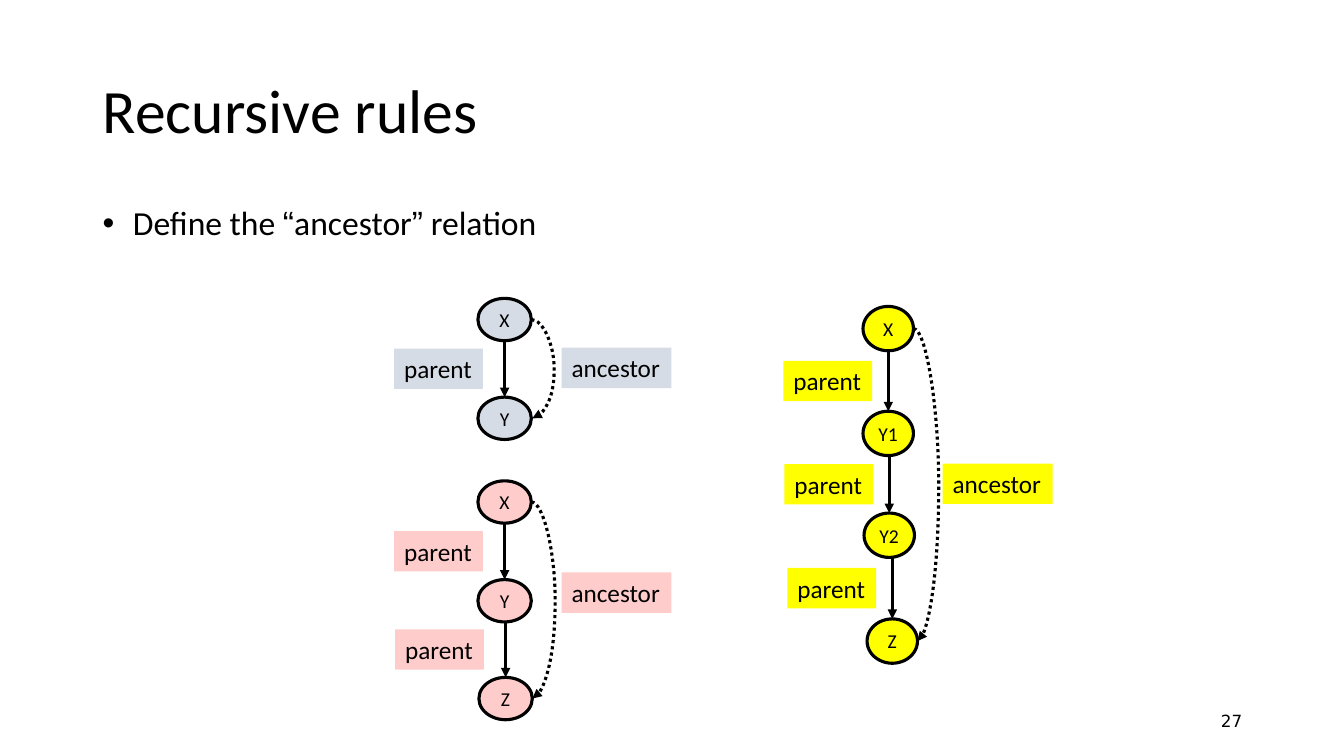
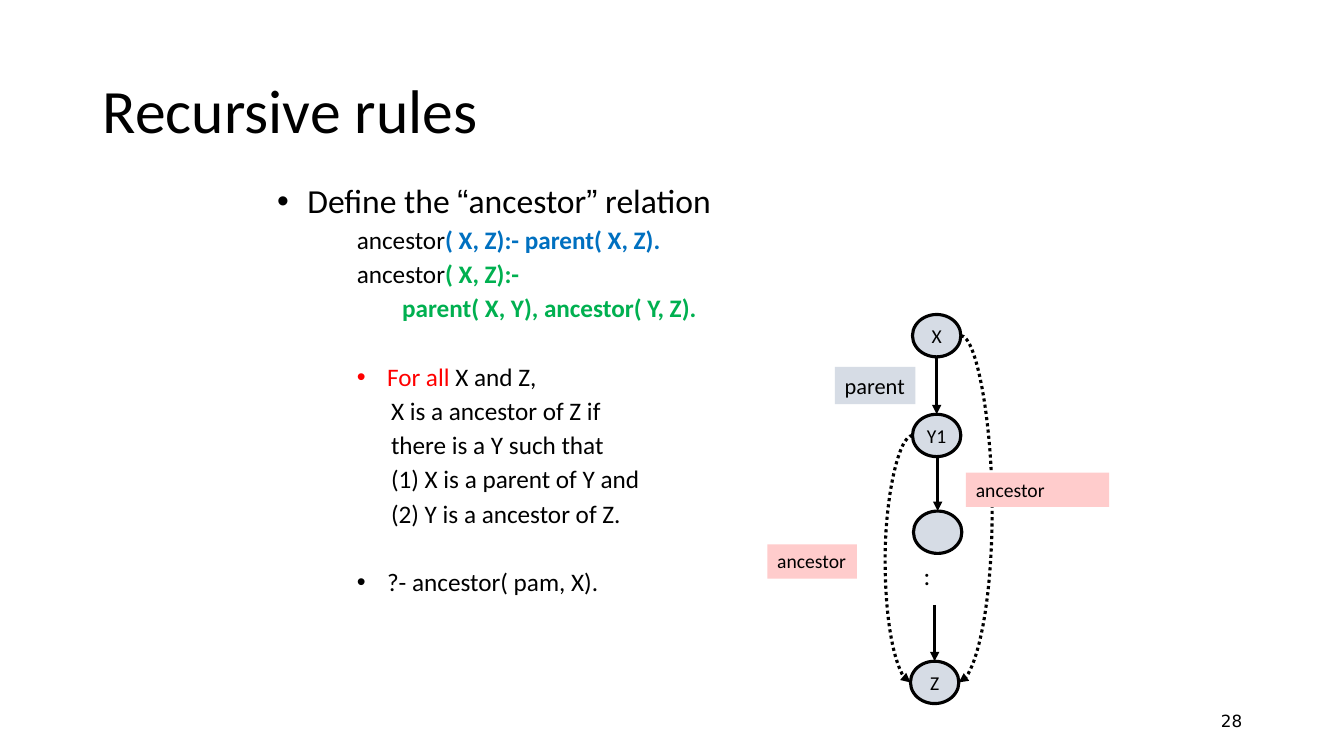
from lxml.etree import SubElement
from pptx import Presentation
from pptx.dml.color import RGBColor
from pptx.enum.dml import MSO_LINE_DASH_STYLE as Dash
from pptx.enum.shapes import MSO_CONNECTOR as Connector, MSO_SHAPE as Shape
from pptx.enum.text import MSO_ANCHOR as Anchor, PP_ALIGN as Align
from pptx.oxml.ns import qn
from pptx.util import Inches, Pt

BLACK, GREY, PINK, YELLOW = "000000", "D6DCE5", "FFCCCC", "FFFF00"
BLUE, GREEN, RED = "0070C0", "00B050", "FF0000"
FONT, QUOTE_FONT, NUMBER_FONT = "Calibri", "Arial", "DejaVu Sans"
LEFT_SITE, RIGHT_SITE = 2, 6
TOPIC = [("Define the ", {}), ("“", {"name": QUOTE_FONT}), ("ancestor", {}),
         ("”", {"name": QUOTE_FONT}), (" relation", {})]


def color(value):
    """Turn a hex string into a colour."""
    return RGBColor.from_string(value)


def style_font(font, size, name=FONT, fill=BLACK):
    """Set size, typeface and colour of a font."""
    font.size, font.name = Pt(size), name
    font.color.rgb = color(fill)


def add_text(slide, box, text, size, align=Align.LEFT, anchor=Anchor.TOP, name=FONT):
    """Add a text box with one paragraph."""
    frame = slide.shapes.add_textbox(*map(Inches, box)).text_frame
    frame.word_wrap, frame.vertical_anchor = True, anchor
    paragraph = frame.paragraphs[0]
    paragraph.text, paragraph.alignment = text, align
    style_font(paragraph.font, size, name)


def add_base(presentation, number):
    """Add a slide with the shared title and page number."""
    slide = presentation.slides.add_slide(presentation.slide_layouts[5])
    title = slide.shapes.title
    title.left, title.top, title.width, title.height = map(Inches, (0.92, 0.4, 11.5, 1.45))
    title.text_frame.text = "Recursive rules"
    title.text_frame.vertical_anchor = Anchor.MIDDLE
    paragraph = title.text_frame.paragraphs[0]
    paragraph.alignment, paragraph.line_spacing = Align.LEFT, 0.9
    style_font(paragraph.font, 44)
    add_text(slide, (9.42, 6.95, 3, 0.4), str(number), 12, Align.RIGHT, Anchor.MIDDLE, NUMBER_FONT)
    return slide


def format_line(paragraph, runs, size, margin, before, bullet=None):
    """Fill a body paragraph with runs, spacing and an optional bullet."""
    paragraph.line_spacing, paragraph.space_before = 0.9, Pt(before)
    style_font(paragraph.font, size)
    for text, changes in runs:
        run = paragraph.add_run()
        run.text = text
        run.font.name = changes.get("name", FONT)
        run.font.bold = changes.get("bold")
        if "fill" in changes:
            run.font.color.rgb = color(changes["fill"])
    properties = paragraph._p.get_or_add_pPr()
    properties.set("marL", str(Inches(margin)))
    properties.set("indent", str(Inches(-0.3 if bullet else 0)))
    if bullet:
        fill = SubElement(SubElement(properties, qn("a:buClr")), qn("a:srgbClr"))
        fill.set("val", bullet)
        SubElement(properties, qn("a:buFont")).set("typeface", "Arial")
        SubElement(properties, qn("a:buChar")).set("char", "•")
        properties.append(properties.find(qn("a:defRPr")))


def add_body(slide, box, lines):
    """Add the bulleted topic and the lines below it."""
    frame = slide.shapes.add_textbox(*map(Inches, box)).text_frame
    frame.word_wrap = True
    format_line(frame.paragraphs[0], TOPIC, 24, 0.3, 0, BLACK)
    for line in lines:
        format_line(frame.add_paragraph(), *line)


def add_filled(slide, kind, box, fill, text, size):
    """Add a flat filled shape with dark text."""
    shape = slide.shapes.add_shape(kind, *map(Inches, box))
    shape.shadow.inherit = False
    shape.fill.solid()
    shape.fill.fore_color.rgb = color(fill)
    shape.line.fill.background()
    shape.text_frame.word_wrap = False
    if text:
        shape.text_frame.text = text
        style_font(shape.text_frame.paragraphs[0].font, size)
    return shape


def add_label(slide, box, fill, text, size=18, wrap=False):
    """Add the coloured name of a relation."""
    shape = add_filled(slide, Shape.RECTANGLE, box, fill, text, size)
    shape.text_frame.vertical_anchor = Anchor.TOP
    shape.text_frame.word_wrap = wrap
    shape.text_frame.paragraphs[0].alignment = Align.LEFT


def add_node(slide, box, fill, text):
    """Add an outlined ellipse for a person."""
    shape = add_filled(slide, Shape.OVAL, box, fill, text, 14)
    shape.line.color.rgb, shape.line.width = color(BLACK), Pt(2.25)
    shape.text_frame.vertical_anchor = Anchor.MIDDLE
    shape.text_frame.paragraphs[0].alignment = Align.CENTER
    return shape


def add_arrow(slide, kind, start, end):
    """Add a black connector with a triangle at its end, between lengths."""
    arrow = slide.shapes.add_connector(kind, *start, *end)
    arrow.line.color.rgb, arrow.line.width = color(BLACK), Pt(2.25)
    line = arrow.line._get_or_add_ln()
    SubElement(line, qn("a:tailEnd")).set("type", "triangle")
    SubElement(arrow._element.spPr, qn("a:effectLst"))
    return arrow


def add_bow(slide, first, last, bulge, site=RIGHT_SITE):
    """Join two nodes by a dotted curve that swings out by the bulge."""
    side = 1 if site == RIGHT_SITE else 0
    start, end = [(node.left + side * node.width, node.top + node.height // 2)
                  for node in (first, last)]
    if start[0] == end[0]:
        end = (end[0] + Inches(0.01), end[1])
    bow = add_arrow(slide, Connector.CURVE, start, end)
    bow.line.dash_style = Dash.ROUND_DOT
    ratio = Inches(bulge) / (end[0] - start[0])
    guides = bow._element.spPr.find(qn("a:prstGeom")).get_or_add_avLst()
    guide = SubElement(guides, qn("a:gd"))
    guide.set("name", "adj1")
    guide.set("fmla", f"val {round(ratio * 100000)}")
    links = bow._element.nvCxnSpPr.cNvCxnSpPr
    for tag, node in (("a:stCxn", first), ("a:endCxn", last)):
        link = SubElement(links, qn(tag))
        link.set("id", str(node.shape_id))
        link.set("idx", str(site))


def add_chain(slide, origin, size, people, fill, label, overlap=0.05, labelled=None):
    """Add nodes at offsets from the origin, joined by parent arrows."""
    nodes = [add_node(slide, (origin[0] + x, origin[1] + y, *size), fill, name)
             for name, x, y in people]
    width, height, text_size = label
    for upper, lower in zip(nodes, nodes[1:]):
        middle = lower.left + lower.width // 2
        bottom = upper.top + upper.height
        add_arrow(slide, Connector.STRAIGHT, (middle, bottom), (middle, lower.top))
    for upper, lower in list(zip(nodes, nodes[1:]))[:labelled]:
        center = (upper.top + upper.height + lower.top) / 2
        left = lower.left.inches + overlap - width
        add_label(slide, (left, center / Inches(1) - height / 2, width, height),
                  fill, "parent", text_size)
    return nodes


def add_family(slide, origin, size, people, fill, bulge, ancestor, overlap=0.05):
    """Add a chain with its ancestor curve and label."""
    nodes = add_chain(slide, origin, size, people, fill, (0.88, 0.4, 18), overlap)
    add_bow(slide, nodes[0], nodes[-1], bulge)
    x, y = ancestor
    add_label(slide, (origin[0] + x, origin[1] + y, 1.09, 0.4), fill, "ancestor")


def add_descent(slide, left, top):
    """Add the open chain with two ancestor curves."""
    size = (0.48, 0.42)
    people = [("X", 0, 0), ("Y1", 0, 0.99), ("", 0.01, 1.95)]
    first, second, _ = add_chain(slide, (left, top), size, people, GREY,
                                 (0.8, 0.37, 16), 0.03, 1)
    last = add_node(slide, (left - 0.02, top + 3.44, *size), GREY, "Z")
    middle = last.left + last.width // 2
    add_arrow(slide, Connector.STRAIGHT, (middle, Inches(top + 2.88)), (middle, last.top))
    add_text(slide, (left, top + 2.39, 0.29, 0.4), ":", 18, Align.CENTER)
    add_bow(slide, first, last, 0.31)
    add_bow(slide, second, last, -0.27, LEFT_SITE)
    add_label(slide, (left + 0.53, top + 1.57, 1.42, 0.34), PINK, "ancestor", 14, True)
    add_label(slide, (left - 1.44, top + 2.28, 0.89, 0.34), PINK, "ancestor", 14)


def build_families(presentation):
    """Build the slide with three example families."""
    slide = add_base(presentation, 27)
    add_body(slide, (0.92, 2, 11.5, 0.6), [])
    size = (0.53, 0.42)
    people = [("X", 0, 0), ("Y", 0, 0.98), ("Z", 0.01, 1.95)]
    add_family(slide, (4.74, 2.96), size, people[:2], GREY, 0.23, (0.83, 0.49))
    add_family(slide, (4.74, 4.77), size, people, PINK, 0.24, (0.83, 0.91))
    people = [("X", 0, 0), ("Y1", 0, 1.04), ("Y2", 0.01, 2.05), ("Z", 0.04, 3.1)]
    add_family(slide, (8.56, 3.04), (0.5, 0.44), people, YELLOW, 0.25, (0.79, 1.56), 0.09)


def build_rule(presentation):
    """Build the slide with the recursive rule."""
    slide = add_base(presentation, 28)
    blue, green = ({"fill": fill, "bold": True} for fill in (BLUE, GREEN))
    near, gap = 5, 29.5
    explanation = ["X is a ancestor of Z if", "there is a Y such that",
                   "(1) X is a parent of Y and", "(2) Y is a ancestor of Z."]
    lines = [
        ([("ancestor", {}), ("( X, Z):- parent( X, Z).", blue)], 18, 0.79, near),
        ([("ancestor", {}), ("( X, Z):-", green)], 18, 0.79, near),
        ([("parent( X, Y), ancestor( Y, Z).", green)], 18, 1.24, near),
        ([("For all ", {"fill": RED}), ("X and Z,", {})], 18, 1.09, gap, RED),
        *[([(text, {})], 18, 1.13, near) for text in explanation],
        ([("?- ancestor( pam, X).", {})], 18, 1.09, gap, BLACK),
    ]
    add_body(slide, (2.65, 1.78, 8.51, 5.51), lines)
    add_descent(slide, 9.05, 3.12)


def main():
    """Build and save the presentation."""
    presentation = Presentation()
    presentation.slide_width, presentation.slide_height = Inches(13.33), Inches(7.5)
    build_families(presentation)
    build_rule(presentation)
    presentation.save("out.pptx")


if __name__ == "__main__":
    main()
